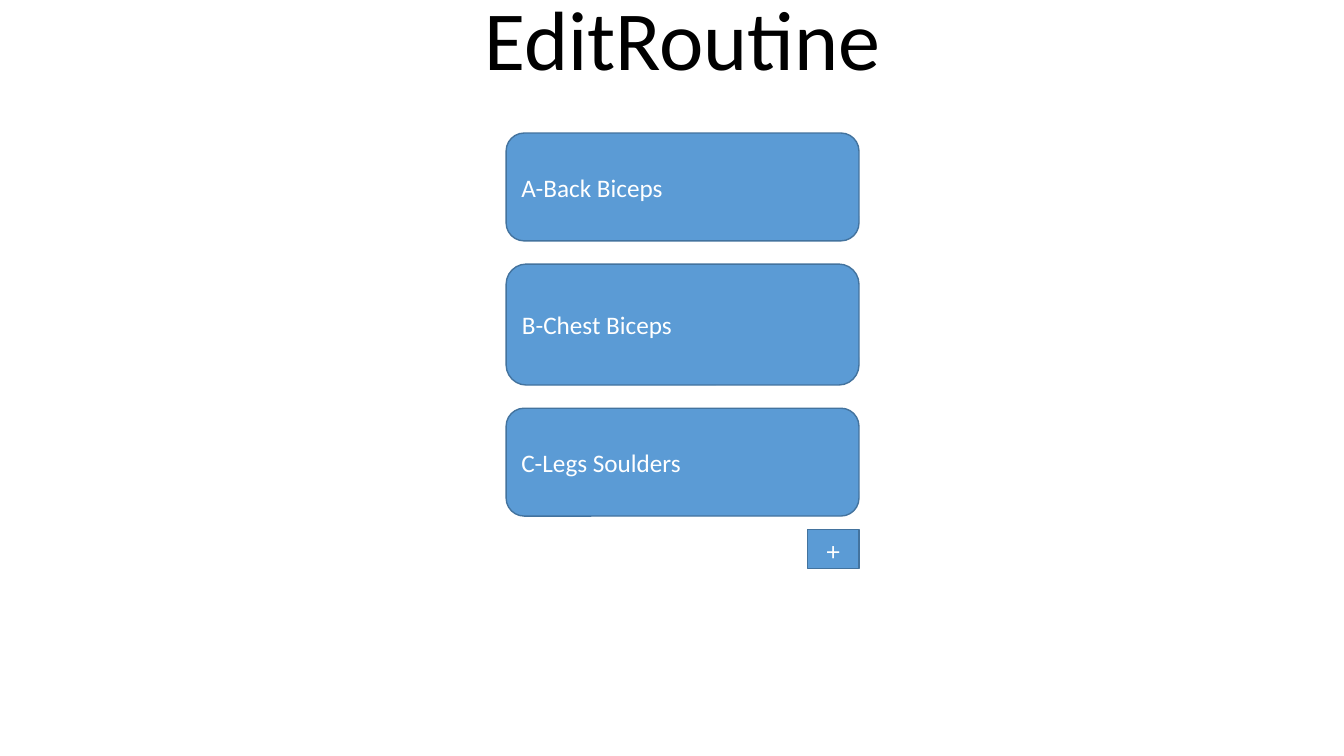
from pptx import Presentation
from pptx.dml.color import RGBColor
from pptx.enum.shapes import MSO_SHAPE
from pptx.enum.text import MSO_ANCHOR, MSO_AUTO_SIZE, PP_ALIGN
from pptx.util import Inches, Pt

BLUE = RGBColor(0x5B, 0x9B, 0xD5)
DARK_BLUE = RGBColor(0x43, 0x73, 0x9E)
WHITE = RGBColor(0xFF, 0xFF, 0xFF)
BLACK = RGBColor(0x00, 0x00, 0x00)
FONT = "Calibri"

ROUTINES = [("A-Back Biceps", 1.07), ("B-Chest Biceps", 1.2), ("C-Legs Soulders", 1.07)]
CARD_GAP = 0.23
BUTTON_GAP = 0.13
BUTTON_WIDTH, BUTTON_HEIGHT = 0.51, 0.39


def format_text(shape, size, color, alignment, anchor):
    shape.text_frame.vertical_anchor = anchor
    paragraph = shape.text_frame.paragraphs[0]
    paragraph.alignment = alignment
    for run in paragraph.runs:
        run.font.name = FONT
        run.font.size = Pt(size)
        run.font.color.rgb = color
    return paragraph


def add_title(slide, text, left, top, width, height):
    title = slide.shapes.title
    title.left, title.top = Inches(left), Inches(top)
    title.width, title.height = Inches(width), Inches(height)
    title.text_frame.text = text
    title.text_frame.word_wrap = True
    title.text_frame.auto_size = MSO_AUTO_SIZE.NONE
    paragraph = format_text(title, 60, BLACK, PP_ALIGN.CENTER, MSO_ANCHOR.BOTTOM)
    paragraph.line_spacing = 0.9


def add_block(slide, preset, text, alignment, left, top, width, height):
    block = slide.shapes.add_shape(
        preset, Inches(left), Inches(top), Inches(width), Inches(height))
    block.shadow.inherit = False
    block.fill.solid()
    block.fill.fore_color.rgb = BLUE
    block.line.color.rgb = DARK_BLUE
    block.line.width = Pt(1)
    block.text_frame.text = text
    block.text_frame.word_wrap = True
    return format_text(block, 18, WHITE, alignment, MSO_ANCHOR.MIDDLE)


def add_routine_list(slide, left, top, width):
    for name, height in ROUTINES:
        add_block(slide, MSO_SHAPE.ROUNDED_RECTANGLE, name, PP_ALIGN.LEFT,
                  left, top, width, height)
        top += height + CARD_GAP
    button = add_block(slide, MSO_SHAPE.RECTANGLE, "+", PP_ALIGN.CENTER,
                       left + width - BUTTON_WIDTH, top - CARD_GAP + BUTTON_GAP,
                       BUTTON_WIDTH, BUTTON_HEIGHT)
    button._p.get_or_add_pPr().set("rtl", "1")


def main():
    presentation = Presentation()
    presentation.slide_width = Inches(13.33)
    presentation.slide_height = Inches(7.5)
    slide = presentation.slides.add_slide(presentation.slide_layouts[0])
    subtitle = slide.placeholders[1].element
    subtitle.getparent().remove(subtitle)
    add_title(slide, "EditRoutine", 1.77, -1.68, 10, 2.61)
    add_routine_list(slide, 5.02, 1.32, 3.5)
    presentation.save("out.pptx")


if __name__ == "__main__":
    main()
